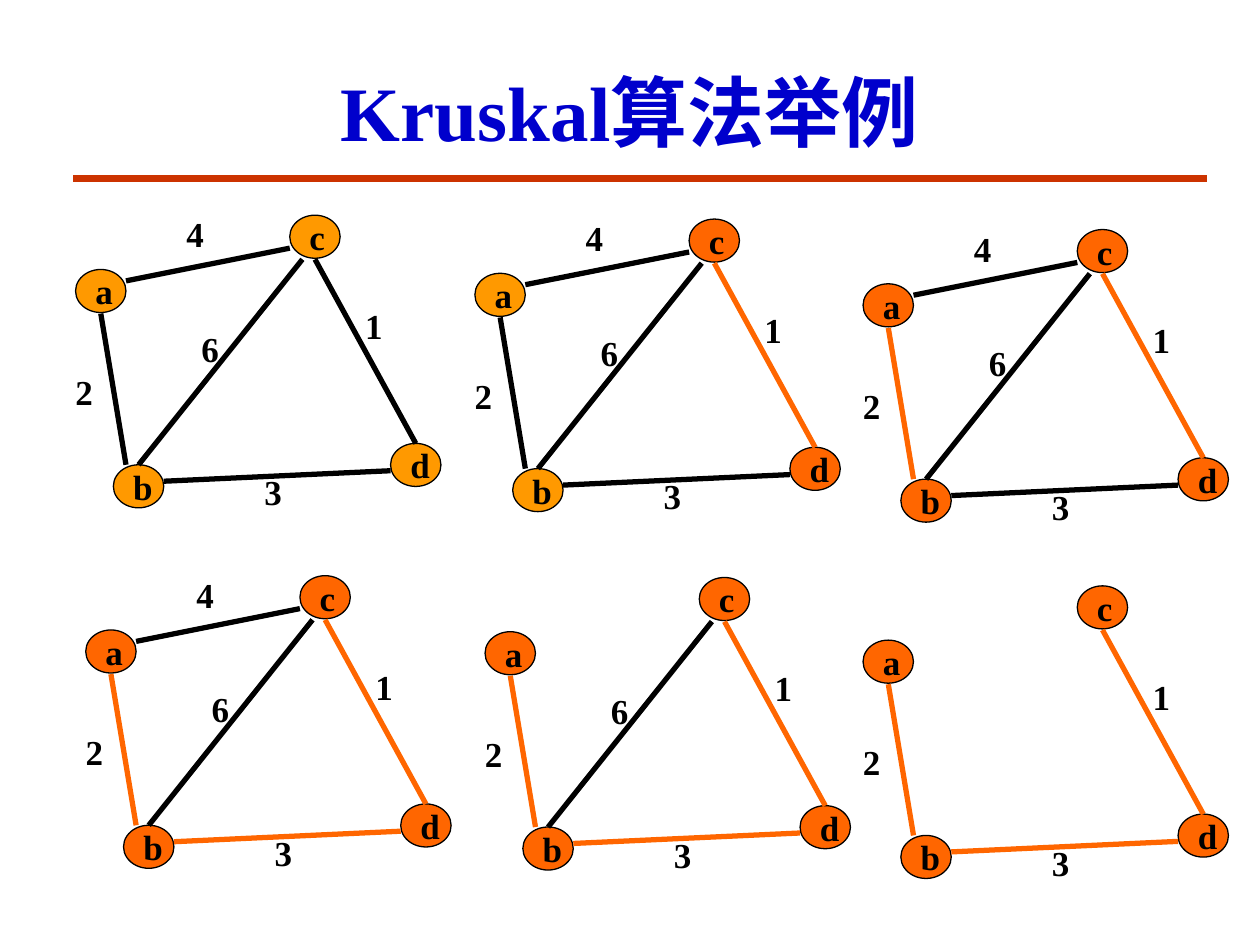
from lxml import etree
from pptx import Presentation
from pptx.dml.color import RGBColor
from pptx.enum.shapes import MSO_CONNECTOR, MSO_SHAPE
from pptx.enum.text import MSO_ANCHOR, MSO_AUTO_SIZE, PP_ALIGN
from pptx.oxml.ns import qn
from pptx.util import Pt

LINE, OVAL = MSO_CONNECTOR.STRAIGHT, MSO_SHAPE.OVAL
MID, TOP = MSO_ANCHOR.MIDDLE, MSO_ANCHOR.TOP
LEFT, CENTER = PP_ALIGN.LEFT, PP_ALIGN.CENTER
FIXED = MSO_AUTO_SIZE.NONE

# Content: one graph, its places in points from the graph's corner
TITLE = "Kruskal算法举例"
NODES = {"c": (129.6, 5), "d": (187.2, 135.4),
         "b": (28.8, 147.6), "a": (7.2, 36)}
# weight: (ends, start, finish, label corner)
EDGES = {
    "4": ("ac", (36, 42.5), (129.6, 23.8), (63.4, 0)),
    "2": ("ab", (36, 147.6), (21.6, 61.2), (0, 90)),
    "6": ("bc", (43.2, 147.6), (136.8, 30.2), (72, 65.5)),
    "1": ("cd", (201.6, 135.4), (144, 30.2), (165.6, 52.5)),
    "3": ("bd", (57.6, 157), (187.2, 151), (108, 147.6)),
}
# Steps of the algorithm: (corner, edges left, edges chosen)
STEPS = [
    ((36, 118), "42613", ""),
    ((264.2, 120.2), "42613", "1"),
    ((486, 126.2), "42613", "12"),
    ((41.8, 324), "42613", "123"),
    ((270, 325), "2613", "123"),
    ((486, 329.8), "213", "123"),
]
NODE_W, NODE_H = 28.8, 24.6
TAG_W, TAG_H = 24.5, 31
BLACK, BLUE, RED = "000000", "0000CC", "CC3300"
PLAIN, HOT = "FF9900", "FF6600"


def rgb(code):
    return RGBColor.from_string(code)


def write(shape, text, size=20, color=BLACK, align=LEFT, anchor=TOP, wrap=False):
    frame = shape.text_frame
    frame.auto_size = FIXED
    frame.word_wrap = wrap
    frame.vertical_anchor = anchor
    para = frame.paragraphs[0]
    para.alignment = align
    run = para.add_run()
    run.text = text
    font = run.font
    font.name, font.size, font.bold = "Times New Roman", Pt(size), True
    font.color.rgb = rgb(color)


def draw_line(shapes, start, end, color, width):
    line = shapes.add_connector(LINE, *map(Pt, start + end))
    line.line.color.rgb = rgb(color)
    line.line.width = Pt(width)
    etree.SubElement(line._element.spPr, qn("a:effectLst"))


def draw_graph(shapes, corner, left, chosen):
    def place(spot):
        return corner[0] + spot[0], corner[1] + spot[1]

    joined = "".join(EDGES[key][0] for key in chosen)
    for name, spot in NODES.items():
        node = shapes.add_shape(OVAL, *map(Pt, place(spot) + (NODE_W, NODE_H)))
        node.shadow.inherit = False
        node.fill.solid()
        node.fill.fore_color.rgb = rgb(HOT if name in joined else PLAIN)
        node.line.color.rgb = rgb(BLACK)
        node.line.width = Pt(0.75)
        write(node, name, anchor=MID)
    for key in left:
        ends, start, finish, spot = EDGES[key]
        color = HOT if key in chosen else BLACK
        draw_line(shapes, place(start), place(finish), color, 3)
        tag = shapes.add_textbox(*map(Pt, place(spot) + (TAG_W, TAG_H)))
        write(tag, key)


def main():
    deck = Presentation()
    deck.slide_width, deck.slide_height = Pt(720), Pt(540)
    slide = deck.slides.add_slide(deck.slide_layouts[5])

    # Title and rule
    title = slide.shapes.title
    title.left, title.top, title.width, title.height = map(Pt, (54, 18, 612, 90))
    write(title, TITLE, size=44, color=BLUE, align=CENTER, anchor=MID, wrap=True)
    draw_line(slide.shapes, (42, 102), (690, 102), RED, 4.5)

    # One group for each step
    for step in STEPS:
        draw_graph(slide.shapes.add_group_shape().shapes, *step)
    deck.save("out.pptx")


if __name__ == "__main__":
    main()
